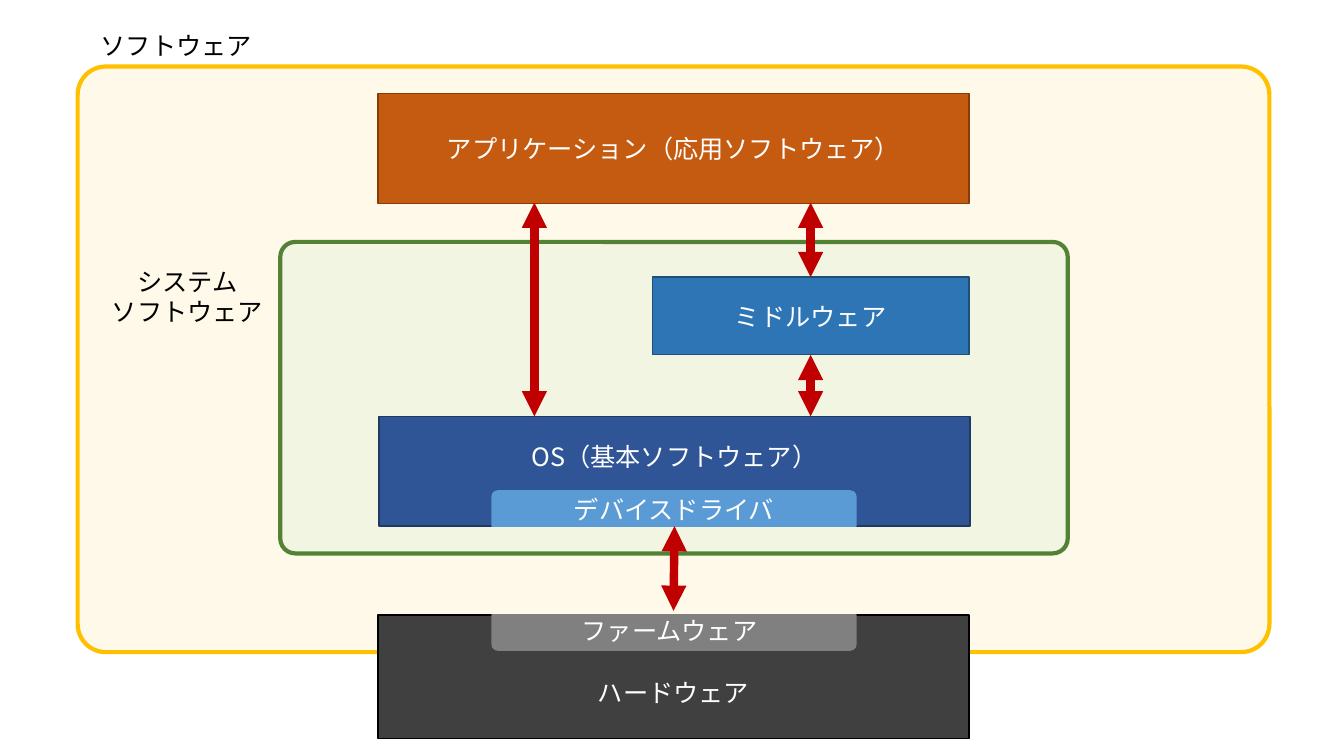
from lxml import etree
from pptx import Presentation
from pptx.dml.color import RGBColor
from pptx.enum import shapes as es, text as et
from pptx.oxml.ns import qn
from pptx.util import Inches, Pt

FONT = "Noto Sans CJK JP"
RECT = es.MSO_SHAPE.RECTANGLE
ROUNDED = es.MSO_SHAPE.ROUNDED_RECTANGLE
TAB = es.MSO_SHAPE.ROUND_2_SAME_RECTANGLE


def rgb(value):
    return RGBColor.from_string(value)


def write(sp, content, color, align):
    tf = sp.text_frame
    tf.text = content
    for p in tf.paragraphs:
        p.alignment = align
        for r in p.runs:
            r.font.size = Pt(18)
            r.font.name = FONT
            r.font.color.rgb = rgb(color)
            ea = etree.SubElement(r.font._element, qn("a:ea"))
            ea.set("typeface", FONT)


def add_box(parent, kind, at, fill, line, width=1, content="", adjust=()):
    sp = parent.add_shape(kind, *map(Inches, at))
    sp.shadow.inherit = False
    sp.fill.solid()
    sp.fill.fore_color.rgb = rgb(fill)
    sp.line.color.rgb = rgb(line)
    sp.line.width = Pt(width)
    for i, value in enumerate(adjust):
        sp.adjustments[i] = value
    if content:
        sp.text_frame.word_wrap = True
        sp.text_frame.vertical_anchor = et.MSO_ANCHOR.MIDDLE
        write(sp, content, "FFFFFF", et.PP_ALIGN.CENTER)
    return sp


def add_zone(parent, at, fill, line):
    """Add a rounded, see-through area that encloses other boxes."""
    sp = add_box(parent, ROUNDED, at, fill, line, 3, adjust=[0.048])
    color = sp.fill._xPr.find(qn("a:solidFill"))[0]
    etree.SubElement(color, qn("a:alpha")).set("val", "40000")


def add_label(parent, at, content, color="000000", align=et.PP_ALIGN.LEFT):
    sp = parent.add_textbox(*map(Inches, at))
    sp.text_frame.word_wrap = False
    sp.text_frame.auto_size = et.MSO_AUTO_SIZE.SHAPE_TO_FIT_TEXT
    write(sp, content, color, align)
    return sp


def add_arrow(parent, x, top, bottom, above=None, below=None):
    """Add a two-way vertical arrow, joined to the boxes given."""
    cx = parent.add_connector(es.MSO_CONNECTOR.STRAIGHT, Inches(x), Inches(top),
                              Inches(x), Inches(bottom))
    if above is not None:
        cx.begin_connect(above, 2)
    if below is not None:
        cx.end_connect(below, 0)
    cx.line.color.rgb = rgb("C00000")
    cx.line.width = Pt(6)
    ln = cx.line._get_or_add_ln()
    for end in ("a:headEnd", "a:tailEnd"):
        etree.SubElement(ln, qn(end)).set("type", "triangle")
    etree.SubElement(cx._element.spPr, qn("a:effectLst"))


def main():
    prs = Presentation()
    prs.slide_width, prs.slide_height = Inches(13.33), Inches(7.5)
    s = prs.slides.add_slide(prs.slide_layouts[6]).shapes

    add_zone(s, (0.77, 0.66, 11.82, 5.81), "FFF2CC", "FFC000")
    add_zone(s, (2.78, 2.4, 7.81, 3.09), "E2F0D9", "548235")
    add_label(s, (0.9, 0.25, 1.72, 0.4), "ソフトウェア")

    add_box(s, RECT, (3.75, 0.93, 5.86, 1.09), "C55A11", "843C0B",
            content="アプリケーション（応用ソフトウェア）")
    middleware = add_box(s, RECT, (6.47, 2.75, 3.14, 0.77), "2E75B6", "1F4E79",
                         content="ミドルウェア")

    os_group = s.add_group_shape().shapes
    os_box = add_box(os_group, RECT, (3.76, 4.13, 5.86, 1.09), "2F5597", "203864",
                     content="OS（基本ソフトウェア）")
    os_box.text_frame.margin_bottom = Inches(0.35)
    add_box(os_group, TAB, (4.88, 4.87, 3.61, 0.35), "5B9BD5", "5B9BD5",
            content="デバイスドライバ")

    hw_group = s.add_group_shape().shapes
    hardware = add_box(hw_group, RECT, (3.75, 6.1, 5.86, 1.23), "404040", "000000",
                       content="ハードウェア")
    hardware.text_frame.margin_top = Inches(0.35)
    add_box(hw_group, TAB, (4.88, 6.1, 3.61, 0.35), "808080", "808080",
            adjust=[0, 0.17])
    firmware = add_label(hw_group, (5.67, 6.06, 2.02, 0.4), "ファームウェア", "FFFFFF")

    add_label(s, (1, 2.59, 1.72, 0.71), "システム\nソフトウェア",
              align=et.PP_ALIGN.CENTER)

    add_arrow(s, 5.3, 2.01, 4.13)
    add_arrow(s, 8.04, 2.01, 2.75, below=middleware)
    add_arrow(s, 8.04, 3.52, 4.13, above=middleware)
    add_arrow(s, 6.69, 5.22, 6.06, above=os_box, below=firmware)

    prs.save("out.pptx")


if __name__ == "__main__":
    main()
